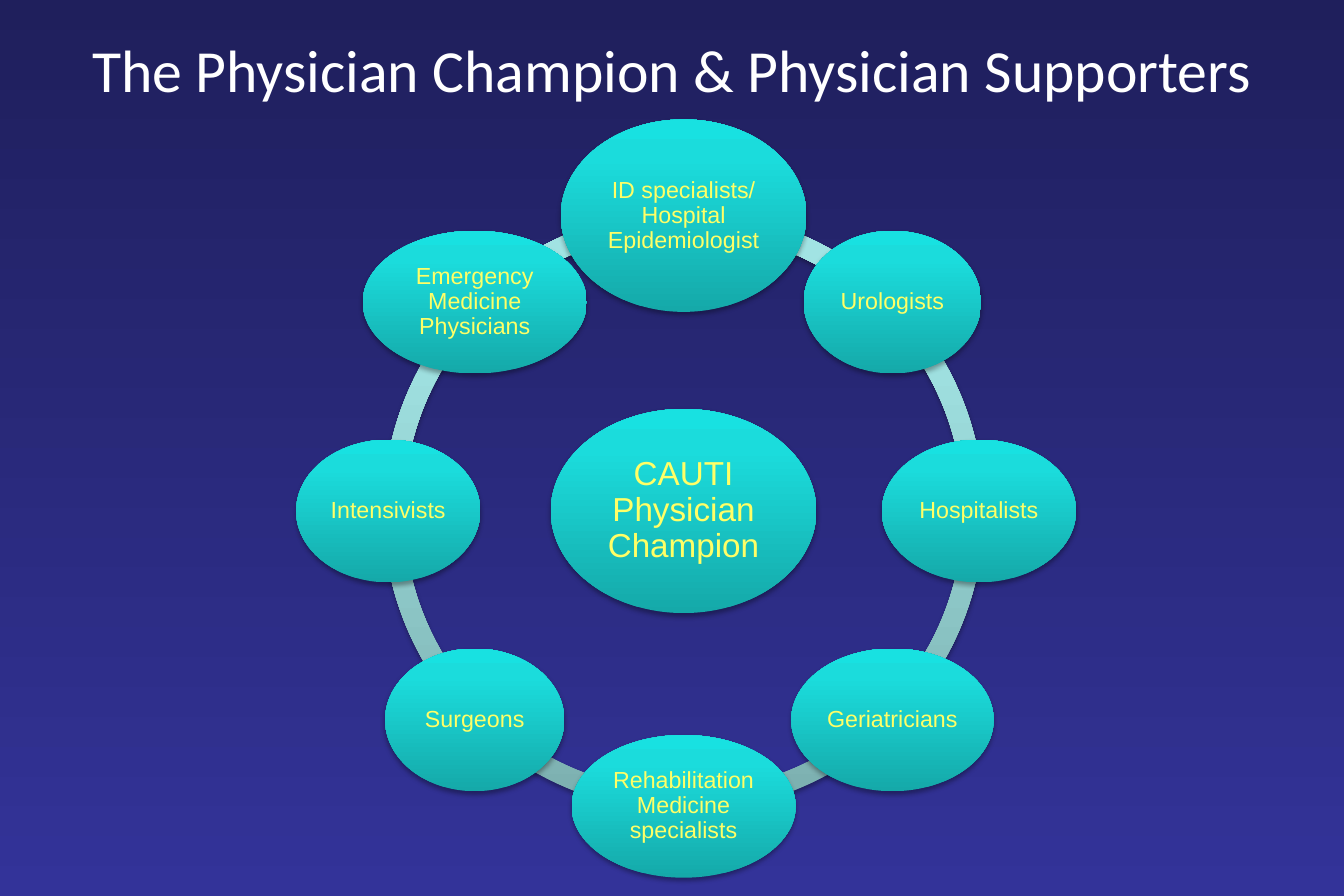
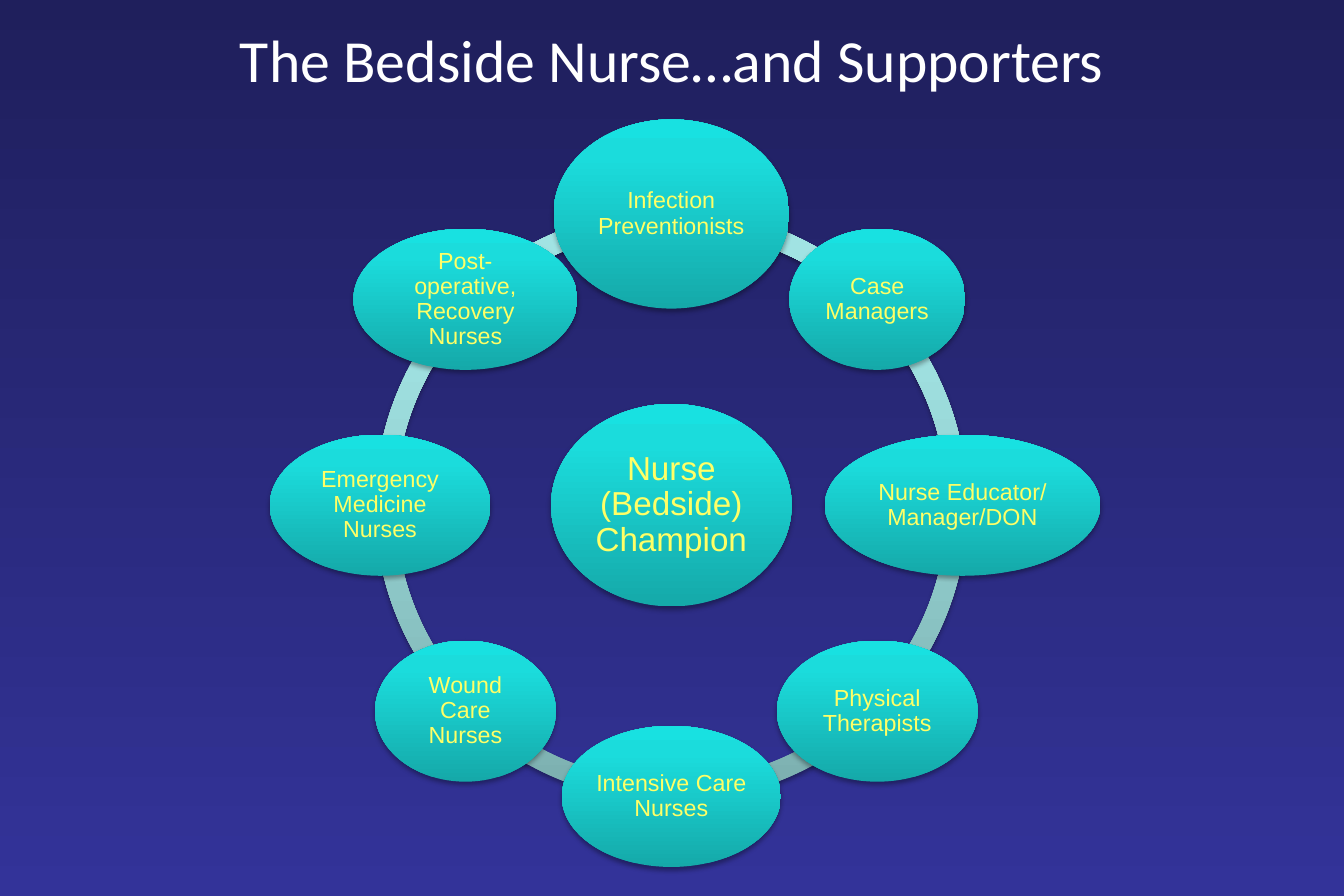
from copy import deepcopy
from math import cos, radians, sin

from lxml import etree
from pptx import Presentation
from pptx.dml.color import RGBColor
from pptx.enum.shapes import MSO_SHAPE as SHAPE
from pptx.enum.text import MSO_ANCHOR as ANCHOR, PP_ALIGN as ALIGN
from pptx.oxml.ns import qn
from pptx.util import Pt

# Shared look
WHITE = RGBColor(0xFF, 0xFF, 0xFF)
YELLOW = RGBColor(0xFF, 0xFF, 0x66)
BACKGROUND = [(0, RGBColor(0x1F, 0x1F, 0x5C)), (1, RGBColor(0x33, 0x33, 0x99))]
NODE_FILL = [(0, RGBColor(0x15, 0xA9, 0xA9)), (0.8, RGBColor(0x1B, 0xDC, 0xDC)),
             (1, RGBColor(0x18, 0xE1, 0xE1))]
RING_FILL = [(0, RGBColor(0x7C, 0xAF, 0xAF)), (0.8, RGBColor(0xA1, 0xE3, 0xE3)),
             (1, RGBColor(0xA0, 0xE5, 0xE5))]
UPWARD, DOWNWARD = 90, 270
SLIDE_W, SLIDE_H = 810, 540
TITLE_H = 90
RING_THICKNESS = 0.034
ANGLE_UNIT = 60000 / 100000  # adjustment value of one degree

# Hub and supporters as (text, width); supporters run clockwise from the top
PHYSICIANS = dict(
    title="The Physician Champion & Physician Supporters", title_top=-3.6,
    centre=(412, 308), radius=178, ring=362,
    hub=("CAUTI Physician Champion", 160), heights=(123, 116, 86),
    supporters=[
        ("ID specialists/ Hospital Epidemiologist", 148),
        ("Urologists", 107),
        ("Hospitalists", 117),
        ("Geriatricians", 122),
        ("Rehabilitation Medicine specialists", 135),
        ("Surgeons", 108),
        ("Intensivists", 111),
        ("Emergency Medicine Physicians", 135),
    ])
NURSES = dict(
    title="The Bedside Nurse…and Supporters", title_top=-9.4,
    centre=(404.6, 304.5), radius=175.5, ring=357,
    hub=("Nurse (Bedside)\vChampion", 145), heights=(122, 114, 85),
    supporters=[
        ("Infection Preventionists", 142),
        ("Case Managers", 106),
        ("Nurse Educator/ Manager/DON", 166),
        ("Physical Therapists", 121),
        ("Intensive Care Nurses", 132),
        ("Wound Care Nurses", 109),
        ("Emergency Medicine Nurses", 133),
        ("Post-operative, Recovery Nurses", 135),
    ])


def set_gradient(fill, element, stops, angle):
    fill.gradient()
    fill.gradient_angle = angle
    gs_list = element.find(".//" + qn("a:gsLst"))
    while len(gs_list) < len(stops):
        gs_list.append(deepcopy(gs_list[0]))
    for stop, (position, color) in zip(fill.gradient_stops, stops):
        stop.position = position
        stop.color.rgb = color


def add_shadow(sp):
    sp.shadow.inherit = False
    effects = sp._element.spPr.find(qn("a:effectLst"))
    shadow = etree.SubElement(effects, qn("a:outerShdw"), blurRad=str(Pt(3.1)),
                              dist=str(Pt(1.8)), dir="5400000", rotWithShape="0")
    black = etree.SubElement(shadow, qn("a:srgbClr"), val="000000")
    etree.SubElement(black, qn("a:alpha"), val="35000")


def add_centred(s, kind, x, y, w, h, stops):
    """Add a shaded shape around the point x, y."""
    sp = s.shapes.add_shape(kind, Pt(x - w / 2), Pt(y - h / 2), Pt(w), Pt(h))
    set_gradient(sp.fill, sp._element, stops, UPWARD)
    sp.line.fill.background()
    add_shadow(sp)
    return sp


def style_text(tf, name, size, color):
    tf.word_wrap = True
    tf.vertical_anchor = ANCHOR.MIDDLE
    p = tf.paragraphs[0]
    p.alignment = ALIGN.CENTER
    p.font.name, p.font.size, p.font.color.rgb = name, Pt(size), color
    return p


def add_node(s, x, y, node, h, size):
    text, w = node
    tf = add_centred(s, SHAPE.OVAL, x, y, w, h, NODE_FILL).text_frame
    tf.text = text
    tf.margin_left = tf.margin_right = tf.margin_top = tf.margin_bottom = Pt(size / 10)
    style_text(tf, "Arial", size, YELLOW).line_spacing = 0.9


def add_ring(s, x, y, diameter, count):
    step = 360 // count
    for start in range(0, 360, step):
        arc = add_centred(s, SHAPE.BLOCK_ARC, x, y, diameter, diameter, RING_FILL)
        arc.adjustments[0] = start * ANGLE_UNIT
        arc.adjustments[1] = (start + step) % 360 * ANGLE_UNIT
        arc.adjustments[2] = RING_THICKNESS


def add_title(s, text, top):
    sp = s.shapes.title
    sp.left, sp.top, sp.width, sp.height = Pt(0), Pt(top), Pt(SLIDE_W), Pt(TITLE_H)
    sp.text_frame.text = text
    style_text(sp.text_frame, "Calibri", 36, WHITE)


def add_team_slide(prs, title, title_top, centre, radius, ring, hub, heights, supporters):
    s = prs.slides.add_slide(prs.slide_layouts[5])
    add_title(s, title, title_top)
    x, y = centre
    hub_h, top_h, other_h = heights
    add_ring(s, x, y, ring, len(supporters))
    add_node(s, x, y, hub, hub_h, 20)
    for i, node in enumerate(supporters):
        angle = radians(360 / len(supporters) * i - 90)
        add_node(s, x + radius * cos(angle), y + radius * sin(angle), node,
                 other_h if i else top_h, 14)


def main():
    prs = Presentation()
    prs.slide_width, prs.slide_height = Pt(SLIDE_W), Pt(SLIDE_H)
    master = prs.slide_master
    set_gradient(master.background.fill, master._element, BACKGROUND, DOWNWARD)
    for team in (PHYSICIANS, NURSES):
        add_team_slide(prs, **team)
    prs.save("out.pptx")


if __name__ == "__main__":
    main()
